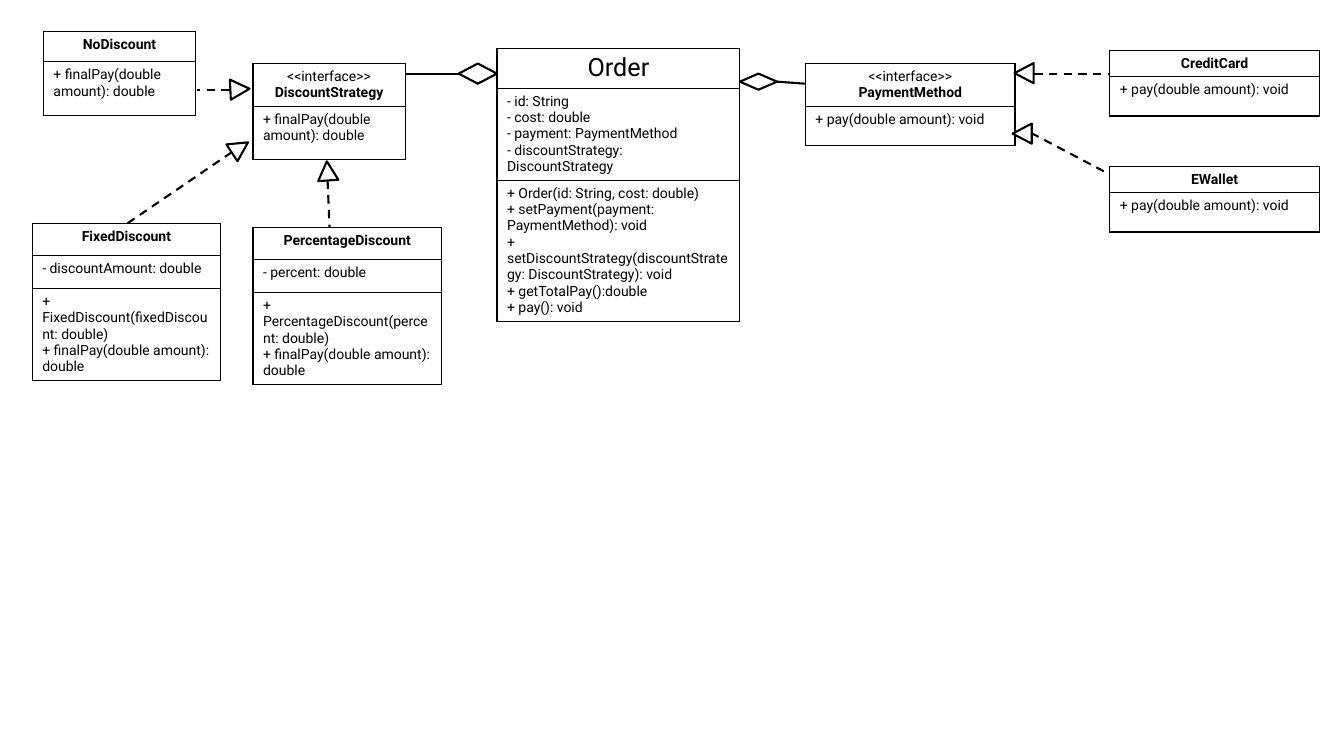
from dataclasses import dataclass

from lxml.etree import SubElement
from pptx import Presentation
from pptx.dml.color import RGBColor as RGB
from pptx.enum.dml import MSO_LINE as DASH
from pptx.enum.shapes import MSO_CONNECTOR as LINK, MSO_SHAPE as SHAPE
from pptx.enum.text import PP_ALIGN as ALIGN
from pptx.oxml.ns import qn
from pptx.util import Pt


@dataclass(frozen=True)
class Theme:
    font: str = "Roboto"
    ink: RGB = RGB(0, 0, 0)
    paper: RGB = RGB(255, 255, 255)
    body: float = 10
    large: float = 18
    border: float = 1
    stroke: float = 1.5


THEME = Theme()
TAG = "<<interface>>"
PAY = "+ pay(double amount): void"
FINAL = "+ finalPay(double amount): double"

# Class boxes: left, top, width, row heights, header size, rows of lines
BOXES = [
    (575.3, 45.4, 149.8, (30.6, 28), THEME.body,
     [[TAG, "PaymentMethod"], [PAY]]),
    (792.7, 36, 149.8, (18.9, 28), THEME.body, [["CreditCard"], [PAY]]),
    (792.7, 118.8, 149.8, (18.9, 28), THEME.body, [["EWallet"], [PAY]]),
    (180.7, 45.4, 108.7, (30.6, 38.2), THEME.body,
     [[TAG, "DiscountStrategy"], [FINAL]]),
    (31, 22.3, 108.7, (21.8, 38.2), THEME.body, [["NoDiscount"], [FINAL]]),
    (23, 159.8, 134.6, (22.5, 23.8, 65.8), THEME.body,
     [["FixedDiscount"], ["- discountAmount: double"],
      ["+ FixedDiscount(fixedDiscount: double)", FINAL]]),
    (180.7, 162.7, 134.6, (22.5, 23.8, 65.8), THEME.body,
     [["PercentageDiscount"], ["- percent: double"],
      ["+ PercentageDiscount(percent: double)", FINAL]]),
    (355, 34.6, 173.5, (28.3, 65.8, 100.9), THEME.large,
     [["Order"],
      ["- id: String", "- cost: double", "- payment: PaymentMethod",
       "- discountStrategy: DiscountStrategy"],
      ["+ Order(id: String, cost: double)",
       "+ setPayment(payment: PaymentMethod): void",
       "+ setDiscountStrategy(discountStrategy: DiscountStrategy): void",
       "+ getTotalPay():double", "+ pay(): void"]]),
]

# Realization arrows: head left, head top, turn, line start, line end
REALIZED = [
    (724.3, 45.4, 270, (738.7, 52.6), (792.7, 52.6)),
    (722.9, 88.6, 270, (736.6, 95), (792.7, 124.6)),
    (226.8, 115.2, 355.8, (234, 128.9), (235.4, 162.7)),
    (164.2, 98.6, 56.8, (165.6, 108.7), (90.7, 159.8)),
    (164.2, 56.9, 87.3, (164.2, 64.1), (140.4, 64.1)),
]

# Aggregations: diamond frame, joined side, line end
OWNED = [
    ((327.6, 45.4, 27.4, 14.4), 1, (289.4, 52.6)),
    ((528.5, 52.6, 26.6, 11.5), 3, (575.3, 59.8)),
]


def edge(cell):
    props = cell._tc.get_or_add_tcPr()
    for at, side in enumerate(("lnL", "lnR", "lnT", "lnB")):
        line = props.makeelement(qn(f"a:{side}"), {"w": str(Pt(THEME.border))})
        fill = SubElement(line, qn("a:solidFill"))
        SubElement(fill, qn("a:srgbClr"), val=str(THEME.ink))
        props.insert(at, line)


def write(cell, lines, size, head):
    frame = cell.text_frame
    frame.text = "\n".join(lines)
    for par, line in zip(frame.paragraphs, lines):
        par.alignment = ALIGN.CENTER if head else ALIGN.LEFT
        font = par.font
        font.name, font.size = THEME.font, Pt(size)
        font.color.rgb = THEME.ink
        font.bold = head and line not in (TAG, "Order")


def add_box(slide, left, top, width, heights, size, rows):
    frame = slide.shapes.add_table(len(rows), 1, Pt(left), Pt(top),
                                   Pt(width), Pt(sum(heights)))
    table = frame.table
    table.first_row = table.horz_banding = False
    for at, (lines, height) in enumerate(zip(rows, heights)):
        table.rows[at].height = Pt(height)
        cell = table.cell(at, 0)
        cell.fill.background()
        edge(cell)
        write(cell, lines, size if at == 0 else THEME.body, at == 0)


def add_mark(slide, kind, left, top, width, height, turn=0):
    mark = slide.shapes.add_shape(kind, Pt(left), Pt(top),
                                  Pt(width), Pt(height))
    mark.shadow.inherit = False
    mark.rotation = turn
    mark.fill.solid()
    mark.fill.fore_color.rgb = THEME.paper
    mark.line.color.rgb = THEME.ink
    mark.line.width = Pt(THEME.stroke)
    return mark


def add_line(slide, start, end, dash=None):
    link = slide.shapes.add_connector(LINK.STRAIGHT, *map(Pt, start + end))
    link.line.color.rgb = THEME.ink
    link.line.width = Pt(THEME.stroke)
    link.line.dash_style = dash
    SubElement(link._element.spPr, qn("a:effectLst"))
    return link


def main():
    deck = Presentation()
    deck.slide_width, deck.slide_height = Pt(960), Pt(540)
    slide = deck.slides.add_slide(deck.slide_layouts[6])

    # Classes
    for box in BOXES:
        add_box(slide, *box)

    # Dashed arrows to the interfaces
    for left, top, turn, start, end in REALIZED:
        add_mark(slide, SHAPE.FLOWCHART_EXTRACT, left, top, 14.4, 13.7, turn)
        add_line(slide, start, end, DASH.DASH)

    # Diamonds on the order
    for frame, side, end in OWNED:
        mark = add_mark(slide, SHAPE.DIAMOND, *frame)
        add_line(slide, frame[:2], end).begin_connect(mark, side)

    deck.save("out.pptx")


if __name__ == "__main__":
    main()
